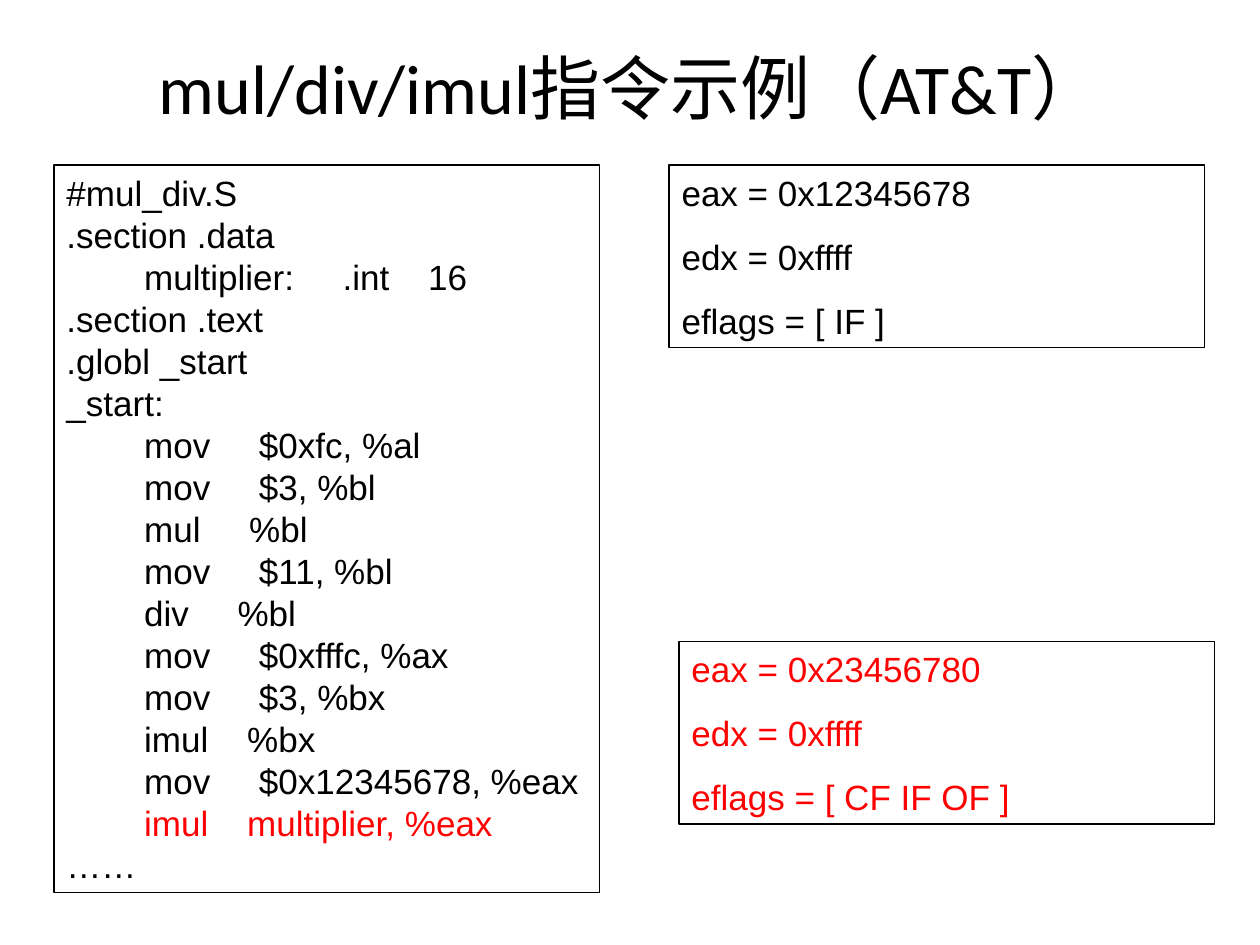
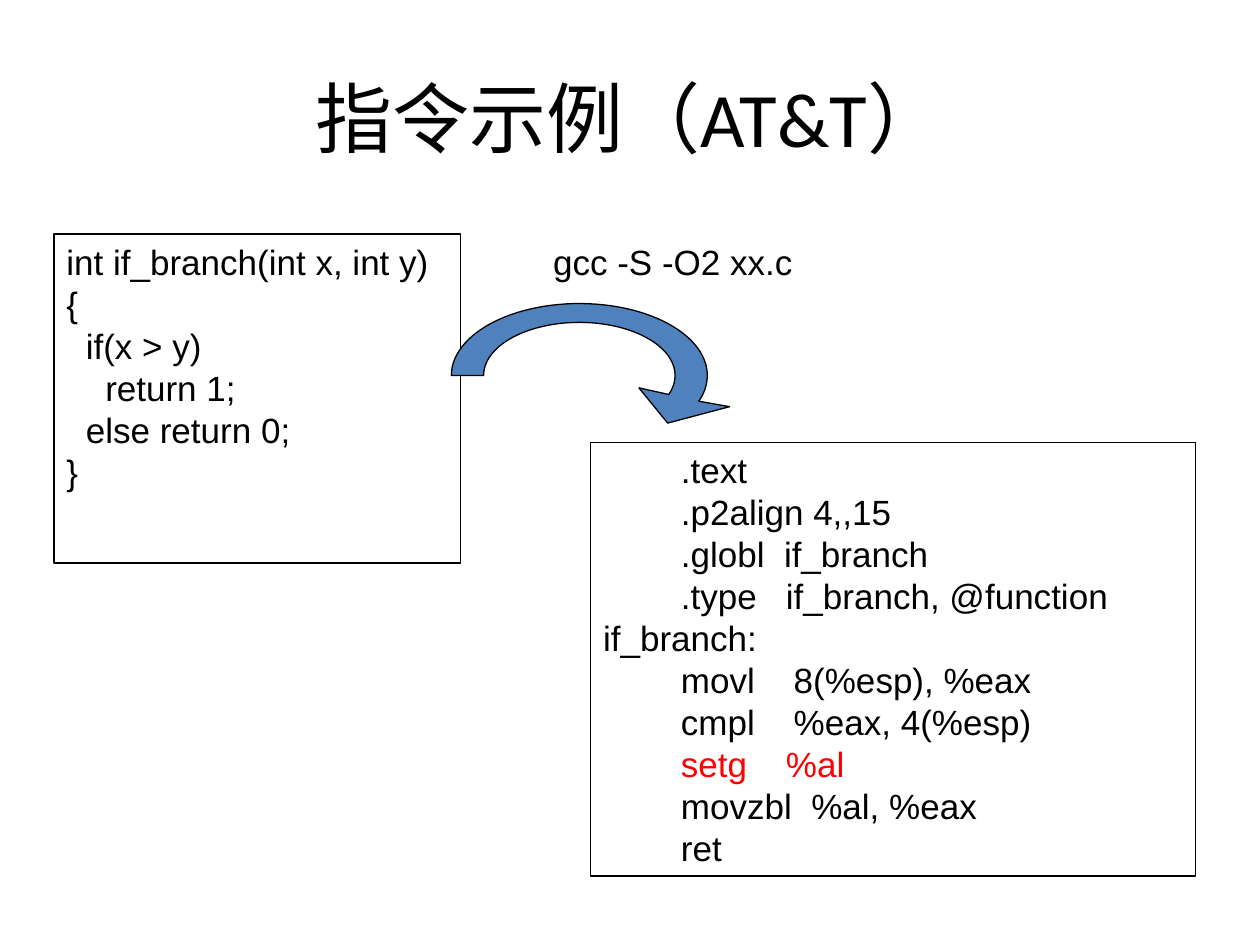
from dataclasses import dataclass
from math import cos, radians, sin

from pptx import Presentation
from pptx.dml.color import RGBColor
from pptx.enum.shapes import MSO_SHAPE
from pptx.enum.text import MSO_ANCHOR, PP_ALIGN
from pptx.util import Cm, Pt

RECT = MSO_SHAPE.RECTANGLE
TOP, MIDDLE = MSO_ANCHOR.TOP, MSO_ANCHOR.MIDDLE
LEFT, CENTER = PP_ALIGN.LEFT, PP_ALIGN.CENTER


@dataclass(frozen=True)
class Theme:
    ink: RGBColor = RGBColor(0, 0, 0)
    red: RGBColor = RGBColor(255, 0, 0)
    blue: RGBColor = RGBColor(0x4F, 0x81, 0xBD)
    head: str = "Calibri"
    body: str = "Arial"
    size: int = 20
    line: float = 0.75
    gap: float = 12.5


MUL_CODE = """#mul_div.S
.section .data
        multiplier:     .int    16
.section .text
.globl _start
_start:
        mov     $0xfc, %al
        mov     $3, %bl
        mul     %bl
        mov     $11, %bl
        div     %bl
        mov     $0xfffc, %ax
        mov     $3, %bx
        imul    %bx
        mov     $0x12345678, %eax
        imul    multiplier, %eax
……"""

C_CODE = """int if_branch(int x, int y)
{
  if(x > y)
    return 1;
  else return 0;
}"""

ASM_CODE = """        .text
        .p2align 4,,15
        .globl  if_branch
        .type   if_branch, @function
if_branch:
        movl    8(%esp), %eax
        cmpl    %eax, 4(%esp)
        setg    %al
        movzbl  %al, %eax
        ret"""


def arc(mid, radii, start, stop, steps=60):
    turns = [radians(start + (stop - start) * i / steps) for i in range(steps + 1)]
    return [(mid[0] + radii[0] * cos(t), mid[1] + radii[1] * sin(t)) for t in turns]


class Deck:
    def __init__(self, theme):
        self.theme = theme
        self.file = Presentation()
        self.file.slide_width, self.file.slide_height = Cm(25.4), Cm(19.05)
        self.slide = None

    def page(self, title, height, size):
        self.slide = self.file.slides.add_slide(self.file.slide_layouts[6])
        area = self.slide.shapes.add_textbox(Cm(1.27), Cm(0.76), Cm(22.86), Cm(height))
        self.fill_text(area, [title], MIDDLE, CENTER, self.theme.head, size)

    def fill_text(self, shape, lines, anchor=TOP, align=LEFT, face=None, size=None,
                  gap=0, color=None, marks=()):
        theme, frame = self.theme, shape.text_frame
        frame.word_wrap = True
        frame.vertical_anchor = anchor
        for i, line in enumerate(lines):
            para = frame.add_paragraph() if i else frame.paragraphs[0]
            para.text = line
            para.alignment = align
            para.space_before = Pt(gap if i else 0)
            para.font.name = face or theme.body
            para.font.size = Pt(size or theme.size)
            para.font.color.rgb = theme.red if line.strip() in marks else color or theme.ink

    def outline(self, shape):
        shape.shadow.inherit = False
        shape.line.color.rgb = self.theme.ink
        shape.line.width = Pt(self.theme.line)

    def box(self, place, lines, **style):
        shape = self.slide.shapes.add_shape(RECT, *map(Cm, place))
        shape.fill.background()
        self.outline(shape)
        self.fill_text(shape, lines, **style)

    def code(self, place, text, mark=""):
        self.box(place, text.split("\n"), marks=[mark])

    def state(self, left, top, lines, color):
        self.box((left, top, 10.8, 3.68), lines, gap=self.theme.gap, color=color)

    def label(self, place, text):
        self.fill_text(self.slide.shapes.add_textbox(*map(Cm, place)), [text])

    def arrow(self, mid, outer, inner, tip):
        points = arc(mid, outer, 180, 381) + tip + arc(mid, inner, 381, 180)
        points = [(Cm(x), Cm(y)) for x, y in points]
        pen = self.slide.shapes.build_freeform(*points[0])
        pen.add_line_segments(points[1:], close=True)
        shape = pen.convert_to_shape()
        shape.fill.solid()
        shape.fill.fore_color.rgb = self.theme.blue
        self.outline(shape)


def main():
    theme = Theme()
    deck = Deck(theme)

    deck.page("mul/div/imul指令示例（AT&T）", 1.96, 40)
    deck.code((1.09, 3.33, 11, 14.66), MUL_CODE, "imul    multiplier, %eax")
    deck.state(13.49, 3.33, ["eax = 0x12345678", "edx = 0xffff", "eflags = [ IF ]"], theme.ink)
    deck.state(13.69, 12.93, ["eax = 0x23456780", "edx = 0xffff", "eflags = [ CF IF OF ]"],
               theme.red)

    deck.page("指令示例（AT&T）", 3.18, 44)
    deck.code((1.09, 4.72, 8.2, 6.63), C_CODE)
    deck.code((11.91, 8.92, 12.19, 8.74), ASM_CODE, "setg    %al")
    deck.arrow((11.68, 7.57), (2.58, 1.45), (1.93, 1.07),
               [(14.71, 8.2), (13.46, 8.53), (12.88, 7.82)])
    deck.label((10.9, 4.72, 5.59, 1.12), "gcc -S -O2 xx.c")

    deck.file.save("out.pptx")


if __name__ == "__main__":
    main()
